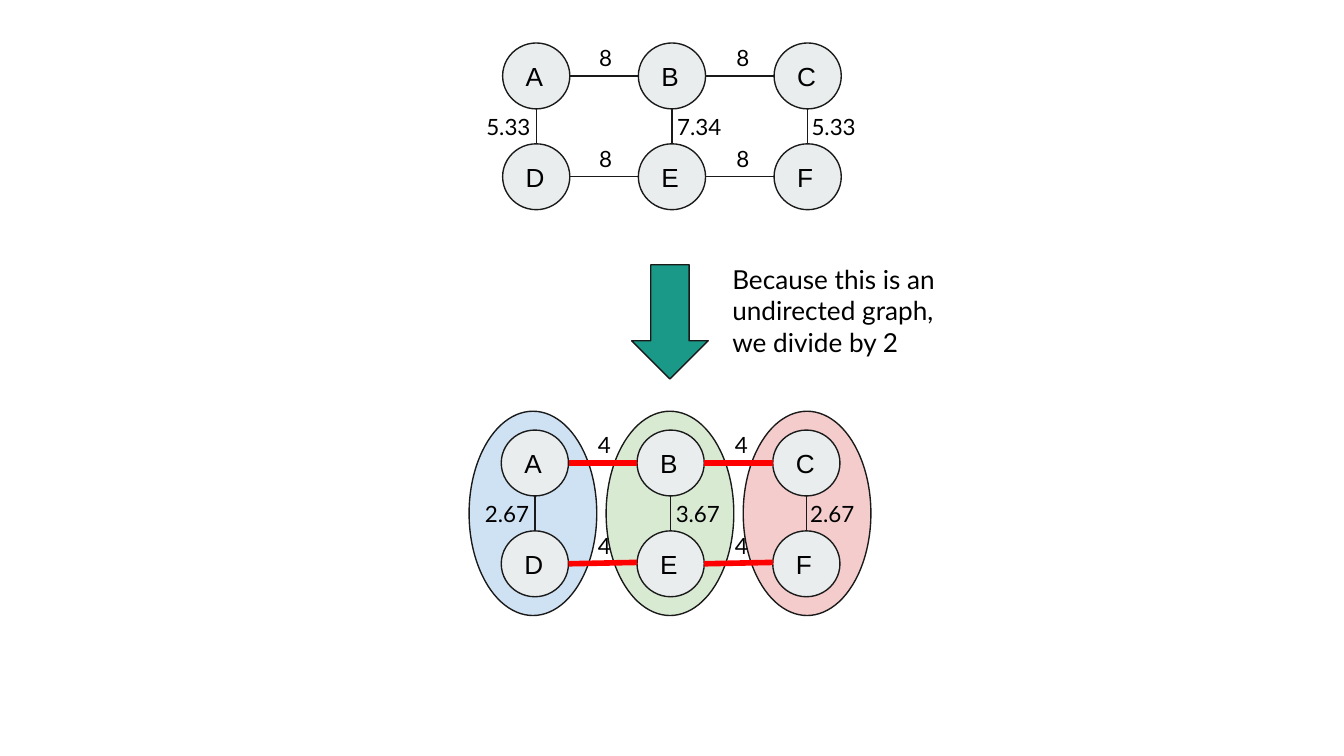
from itertools import product

from lxml.etree import SubElement
from pptx import Presentation
from pptx.dml.color import RGBColor
from pptx.enum.shapes import MSO_CONNECTOR, MSO_SHAPE
from pptx.enum.text import MSO_ANCHOR, PP_ALIGN
from pptx.oxml.ns import qn
from pptx.util import Inches, Pt

# All lengths are in cells of a grid with 100 columns and 56.25 rows
COLUMNS, ROWS = 100, 56.25
CELL = Inches(0.1)

INK, BLACK, RED = "1A1A1A", "000000", "FF0000"
NODE_FILL, ARROW_FILL = "E9EDEE", "1A9988"
NODE_WIDTH, NODE_HEIGHT = 5, 4.9
NODE_STEP, LEVEL_STEP = 10.1, 7.5
NODE_NAMES = ["ABC", "DEF"]


def color(value):
    return RGBColor.from_string(value)


def cells(*lengths):
    return [round(length * CELL) for length in lengths]


class GraphSlide:
    def __init__(self, presentation):
        self.slide = presentation.slides.add_slide(presentation.slide_layouts[6])

    def label(self, shape, text, size, font, anchor=MSO_ANCHOR.TOP):
        frame = shape.text_frame
        frame.word_wrap = True
        frame.vertical_anchor = anchor
        frame.margin_left = frame.margin_right = CELL
        frame.margin_top = frame.margin_bottom = CELL
        paragraph = frame.paragraphs[0]
        paragraph.text = text
        paragraph.alignment = PP_ALIGN.LEFT
        paragraph.font.size = Pt(size)
        paragraph.font.name = font
        paragraph.font.color.rgb = color(BLACK)

    def shape(self, kind, left, top, width, height, fill):
        shape = self.slide.shapes.add_shape(kind, *cells(left, top, width, height))
        shape.shadow.inherit = False
        shape.fill.solid()
        shape.fill.fore_color.rgb = color(fill)
        shape.line.color.rgb = color(INK)
        shape.line.width = Pt(0.75)
        return shape

    def text(self, left, top, width, height, text, size=12):
        box = self.slide.shapes.add_textbox(*cells(left, top, width, height))
        self.label(box, text, size, "Lato")

    def line(self, start, end, stroke=INK, weight=0.75):
        line = self.slide.shapes.add_connector(
            MSO_CONNECTOR.STRAIGHT, *cells(*start, *end))
        line.line.color.rgb = color(stroke)
        line.line.width = Pt(weight)
        SubElement(line._element.spPr, qn("a:effectLst"))

    def level_edges(self, left, top, stroke=INK, weight=0.75, rise=0):
        """Join neighbours on both levels; the lower edges may rise a little."""
        for level, gap in product(range(2), range(2)):
            x = left + gap * NODE_STEP + NODE_WIDTH
            y = top + level * LEVEL_STEP + NODE_HEIGHT / 2
            self.line((x, y), (x + NODE_STEP - NODE_WIDTH, y - level * rise),
                      stroke, weight)

    def graph(self, left, top, level_weight, column_weights):
        # Nodes
        for level, names in enumerate(NODE_NAMES):
            for column, name in enumerate(names):
                node = self.shape(MSO_SHAPE.OVAL, left + column * NODE_STEP,
                                  top + level * LEVEL_STEP,
                                  NODE_WIDTH, NODE_HEIGHT, NODE_FILL)
                self.label(node, name, 14, "Arial", MSO_ANCHOR.MIDDLE)

        # Edges
        self.level_edges(left, top)
        for column in range(3):
            x = left + column * NODE_STEP + NODE_WIDTH / 2
            self.line((x, top + NODE_HEIGHT), (x, top + LEVEL_STEP))

        # Weights
        for level, gap in product(range(2), range(2)):
            self.text(left + 6.2 + gap * 10.2, top - 0.9 + level * LEVEL_STEP,
                      5.1, 4, level_weight)
        for offset, weight in zip((-2.2, 12, 22), column_weights):
            self.text(left + offset, top + 4.2, 5.7, 4, weight)


def main():
    presentation = Presentation()
    presentation.slide_width, presentation.slide_height = cells(COLUMNS, ROWS)
    page = GraphSlide(presentation)

    # Coloured groups behind the lower graph
    for column, fill in enumerate(["CFE2F3", "D9EAD3", "F4CCCC"]):
        page.shape(MSO_SHAPE.OVAL, 34.9 + column * 10.2, 30.6, 9.5, 15.2, fill)

    # Full weights, then halved weights
    page.graph(37.4, 3.2, "8", ["5.33", "7.34", "5.33"])
    page.shape(MSO_SHAPE.DOWN_ARROW, 47, 19.7, 5.7, 8.5, ARROW_FILL)
    page.graph(37.3, 32, "4", ["2.67", "3.67", "2.67"])
    page.text(53.5, 18.6, 19.8, 9.1,
              "Because this is an undirected graph, we divide by 2", 14)

    # Edges cut between the groups
    page.level_edges(37.3, 32, RED, 3, rise=0.1)

    presentation.save("out.pptx")


if __name__ == "__main__":
    main()
